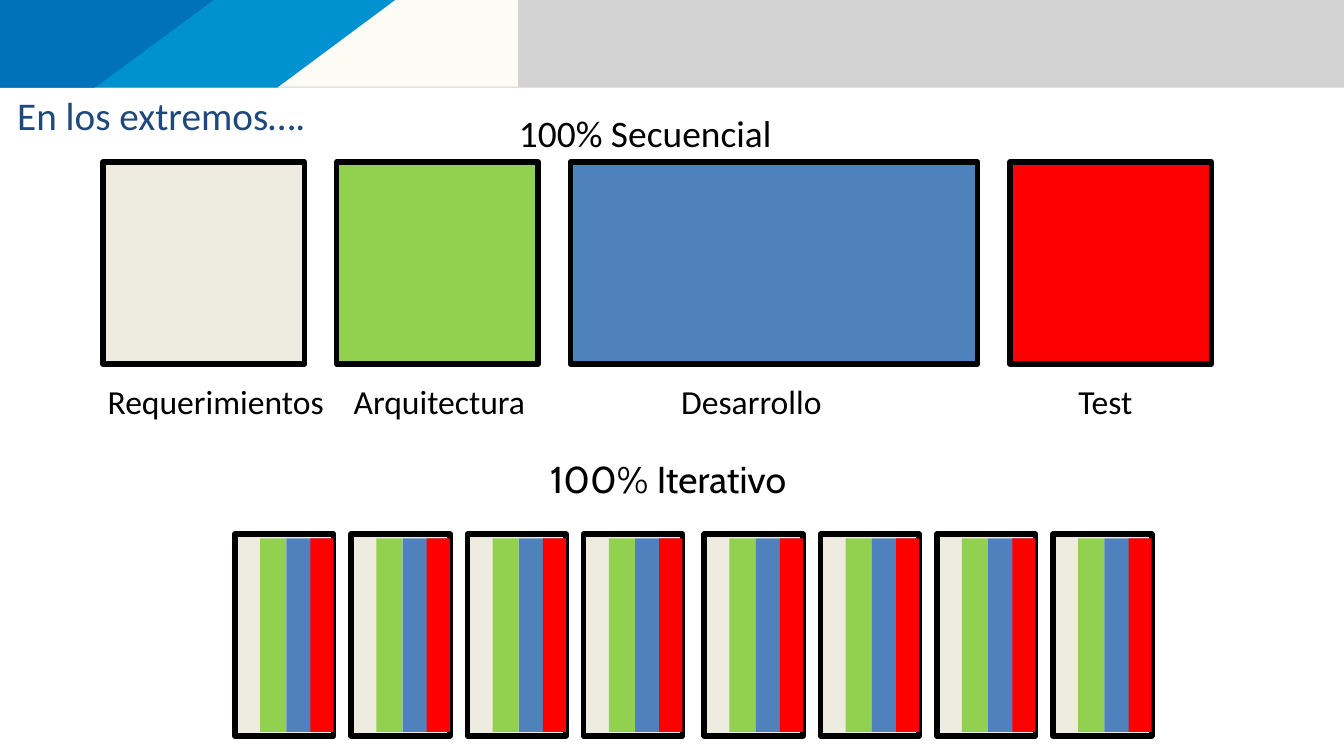
from pptx import Presentation
from pptx.dml.color import RGBColor
from pptx.enum.shapes import MSO_SHAPE as SHAPE
from pptx.enum.text import MSO_ANCHOR as ANCHOR, PP_ALIGN as ALIGN
from pptx.util import Inches, Pt

COLS, ROWS = 40, 22.5
SAND, GREEN, BLUE, RED, BLACK = "EEECE1", "92D050", "4F81BD", "FF0000", "000000"


def rgb(value):
    return RGBColor.from_string(value)


class Canvas:
    font = "Calibri"
    outline = 4

    def __init__(self, prs):
        self.slide = prs.slides.add_slide(prs.slide_layouts[6])
        self.col = prs.slide_width / COLS
        self.row = prs.slide_height / ROWS

    def point(self, x, y):
        return round(x * self.col), round(y * self.row)

    def paint(self, sp, fill, line=None):
        sp.shadow.inherit = False
        sp.fill.solid()
        sp.fill.fore_color.rgb = rgb(fill)
        if line:
            sp.line.color.rgb = rgb(line)
            sp.line.width = Pt(self.outline)
        else:
            sp.line.fill.background()

    def rect(self, x, y, w, h, fill, line=None):
        sp = self.slide.shapes.add_shape(SHAPE.RECTANGLE, *self.point(x, y), *self.point(w, h))
        self.paint(sp, fill, line)

    def polygon(self, corners, fill):
        points = [self.point(x, y) for x, y in corners]
        builder = self.slide.shapes.build_freeform(*points[0])
        builder.add_line_segments(points[1:], close=True)
        self.paint(builder.convert_to_shape(), fill)

    def text(self, x, y, w, h, text, size, color=BLACK, font=None, align=ALIGN.LEFT, inset=True):
        sp = self.slide.shapes.add_textbox(*self.point(x, y), *self.point(w, h))
        tf = sp.text_frame
        tf.word_wrap = False
        tf.vertical_anchor = ANCHOR.TOP
        if not inset:
            tf.margin_left = tf.margin_right = tf.margin_top = tf.margin_bottom = 0
        tf.text = text
        p = tf.paragraphs[0]
        p.alignment = align
        r = p.runs[0]
        r.font.name = font or self.font
        r.font.size = Pt(size)
        r.font.color.rgb = rgb(color)


def draw_header(canvas):
    bottom = 2.61
    canvas.rect(0, 0, COLS, bottom, "D2D2D3")
    canvas.rect(0, 0, 15.42, 2.58, "FCFBF4")
    for top_right, bottom_right, fill in ((11.76, 8.25, "0091D1"), (6.36, 2.82, "0071BB")):
        canvas.polygon([(0, 0), (top_right, 0), (bottom_right, bottom), (0, bottom)], fill)
    canvas.text(0, 2.73, 9.6, 4.35, "En los extremos….", 28, "1F497D",
                align=ALIGN.CENTER, inset=False)


def draw_sequential(canvas):
    canvas.text(15.15, 3.12, 8.16, 1.65, "100% Secuencial", 26.7)
    phases = (
        ("Requerimientos", SAND, 6, 2.91, 7.11),
        ("Arquitectura", GREEN, 6, 10.23, 5.76),
        ("Desarrollo", BLUE, 12.12, 19.98, 4.83),
        ("Test", RED, 6, 31.8, 2.22),
    )
    left, gap = 3.06, 0.96
    for name, fill, width, label_left, label_width in phases:
        canvas.rect(left, 4.83, width, 6, fill, BLACK)
        canvas.text(label_left, 11.19, label_width, 1.5, name, 24)
        left += width + gap


def draw_iterative(canvas):
    canvas.text(16.08, 13.44, 7.74, 1.65, "100% Iterativo", 26.7, font="Cabin")
    strips = ((0.75, 0.78, GREEN), (1.53, 1.35, BLUE), (2.25, 0.69, RED))
    for i in range(8):
        half, place = divmod(i, 4)
        left = 6.99 + 13.97 * half + 3.46 * place
        canvas.rect(left, 15.9, 2.94, 6, SAND, BLACK)
        for offset, width, fill in strips:
            canvas.rect(left + offset, 16.02, width, 5.76, fill)


def main():
    prs = Presentation()
    prs.slide_width, prs.slide_height = Inches(40 / 3), Inches(7.5)
    canvas = Canvas(prs)
    draw_header(canvas)
    draw_sequential(canvas)
    draw_iterative(canvas)
    prs.save("out.pptx")


if __name__ == "__main__":
    main()
